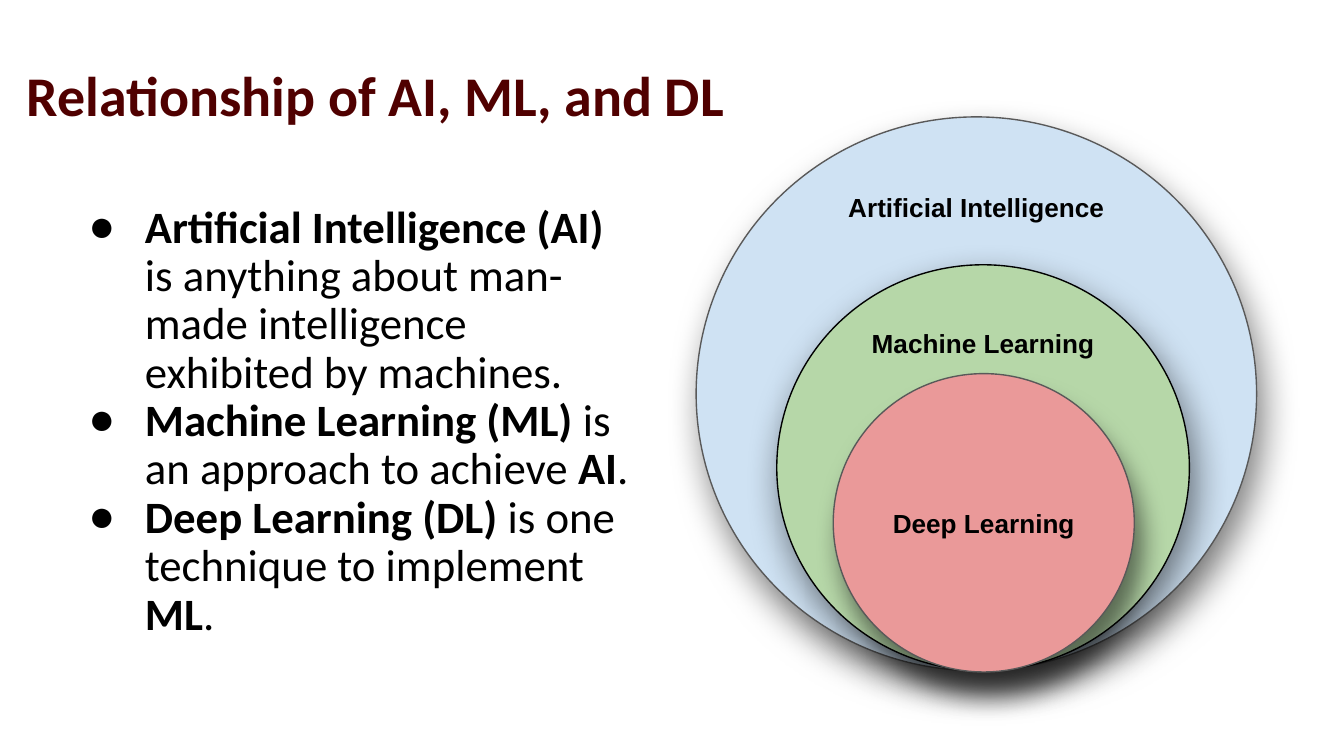
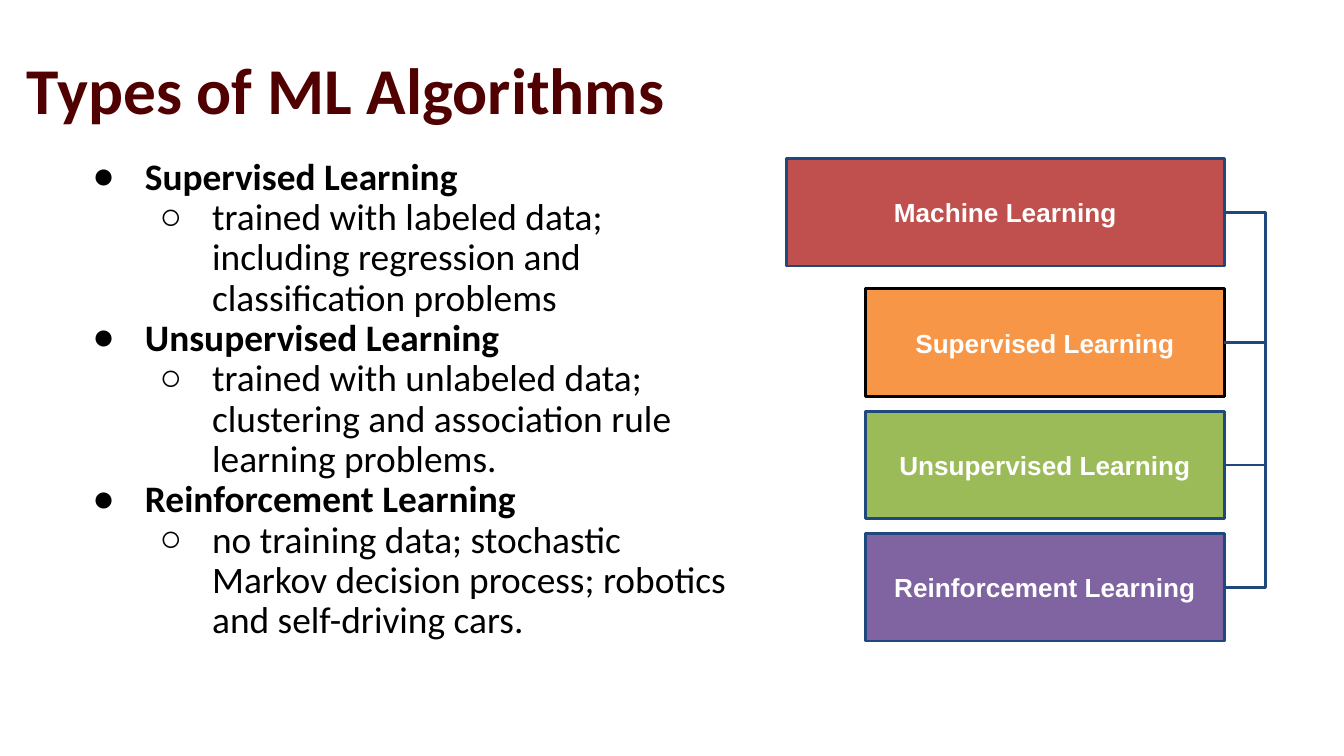
from lxml import etree
from pptx import Presentation
from pptx.dml.color import RGBColor
from pptx.enum import shapes, text
from pptx.oxml import ns
from pptx.util import Inches, Pt

BLACK, WHITE, MAROON, NAVY, GRAY = "000000", "FFFFFF", "500000", "1F497D", "595959"
BODY_FONT, LABEL_FONT = "Calibri", "Arial"
INSET = 0.1
BULLETS = "●○"


def color(hex_code):
    return RGBColor.from_string(hex_code)


def child(parent, tag, **attributes):
    element = etree.SubElement(parent, ns.qn(tag))
    for name, value in attributes.items():
        element.set(name, str(value))
    return element


def style_font(font, name, size, hex_code, bold=None):
    font.name = name
    font.size = Pt(size)
    font.color.rgb = color(hex_code)
    font.bold = bold


def set_frame(frame, anchor, top=INSET, bottom=INSET):
    frame.word_wrap = True
    frame.auto_size = text.MSO_AUTO_SIZE.NONE
    frame.vertical_anchor = anchor
    frame.margin_left = frame.margin_right = Inches(INSET)
    frame.margin_top, frame.margin_bottom = Inches(top), Inches(bottom)


def add_titled_page(deck, title, size, width):
    page = deck.slides.add_slide(deck.slide_layouts[5])
    box = page.shapes.title
    box.left, box.top = Inches(0.1), Inches(0.11)
    box.width, box.height = Inches(width), Inches(0.94)
    set_frame(box.text_frame, text.MSO_ANCHOR.BOTTOM)
    para = box.text_frame.paragraphs[0]
    para.text = title
    para.alignment = text.PP_ALIGN.LEFT
    style_font(para.font, BODY_FONT, size, MAROON, True)
    return page


def add_bullets(page, bounds, items, size, hang, bottom=INSET):
    frame = page.shapes.add_textbox(*map(Inches, bounds)).text_frame
    set_frame(frame, text.MSO_ANCHOR.MIDDLE, bottom=bottom)
    for index, (level, content) in enumerate(items):
        para = frame.paragraphs[0] if index == 0 else frame.add_paragraph()
        para.level = level
        para.line_spacing = 0.9
        properties = para._p.get_or_add_pPr()
        properties.set("marL", str(Inches(0.5 * (level + 1))))
        properties.set("indent", str(-Inches(hang)))
        child(child(properties, "a:buClr"), "a:srgbClr", val=BLACK)
        child(properties, "a:buFont", typeface=LABEL_FONT)
        child(properties, "a:buChar", char=BULLETS[level])
        style_font(para.font, BODY_FONT, size, BLACK)
        for part, words in enumerate(content.split("**")):
            if words:
                span = para.add_run()
                span.text = words
                span.font.bold = part % 2 == 1


def add_label_shape(canvas, kind, bounds, label, fill, line, weight, ink):
    shape = canvas.add_shape(kind, *map(Inches, bounds))
    shape.shadow.inherit = False
    shape.fill.solid()
    shape.fill.fore_color.rgb = color(fill)
    shape.line.color.rgb = color(line)
    shape.line.width = Pt(weight)
    set_frame(shape.text_frame, text.MSO_ANCHOR.MIDDLE)
    para = shape.text_frame.paragraphs[0]
    para.text = label
    para.alignment = text.PP_ALIGN.CENTER
    style_font(para.font, LABEL_FONT, 14, ink, True)
    return shape


def add_shadow(shape, blur, distance, angle):
    effects = shape._element.spPr.find(ns.qn("a:effectLst"))
    shadow = child(effects, "a:outerShdw", blurRad=Pt(blur), dist=Pt(distance),
                   dir=angle * 60000, algn="bl", rotWithShape=0)
    child(child(shadow, "a:srgbClr", val=BLACK), "a:alpha", val=50000)


def add_bracket(page, edge, spine, top, bottom):
    overlap = 0.01
    line = page.shapes.add_connector(
        shapes.MSO_CONNECTOR.ELBOW, Inches(edge - overlap), Inches(top),
        Inches(edge), Inches(bottom))
    line.line.color.rgb = color(NAVY)
    line.line.width = Pt(1.5)
    properties = line._element.spPr
    child(properties, "a:effectLst")
    guides = properties.find(ns.qn("a:prstGeom")).find(ns.qn("a:avLst"))
    bend = round((spine - edge + overlap) / overlap * 100000)
    child(guides, "a:gd", name="adj1", fmla=f"val {bend}")


def build_relationship(deck):
    page = add_titled_page(deck, "Relationship of AI, ML, and DL", 30, 8.5)
    fields = [
        ("Artificial Intelligence", (5.18, 0.87, 4.17, 4.12), "CFE2F3", GRAY, (19.1, 10.5, 70), -0.05),
        ("Machine Learning", (5.78, 1.97, 3.07, 3.02), "B6D7A8", BLACK, (19.1, 8.2, 73), 0.02),
        ("Deep Learning", (6.2, 2.78, 2.24, 2.22), "EA9999", GRAY, (13.5, 12, 70), None),
    ]
    canvas = page.shapes.add_group_shape().shapes
    for label, bounds, fill, line, shadow, label_top in fields:
        circle = add_label_shape(canvas, shapes.MSO_SHAPE.OVAL, bounds, label,
                                 fill, line, 0.75, BLACK)
        add_shadow(circle, *shadow)
        if label_top is not None:
            set_frame(circle.text_frame, text.MSO_ANCHOR.TOP, top=label_top)
    definitions = [
        "**Artificial Intelligence (AI) ** is anything about man-made intelligence exhibited by machines.",
        "**Machine Learning (ML)** is an approach to achieve **AI**.",
        "**Deep Learning (DL)** is one technique to implement **ML**.",
    ]
    add_bullets(page, (0.48, 1.46, 4.41, 3.72), [(0, words) for words in definitions],
                24, 0.42, bottom=0.46)


def build_types(deck):
    page = add_titled_page(deck, "Types of ML Algorithms", 35, 5.94)
    types = [
        ("Supervised Learning", "F79646", BLACK,
         "trained with labeled data; including regression and classification problems"),
        ("Unsupervised Learning", "9BBB59", NAVY,
         "trained with unlabeled data; clustering and association rule learning problems."),
        ("Reinforcement Learning", "8064A2", NAVY,
         "no training data; stochastic Markov decision process; robotics and self-driving cars."),
    ]
    items = []
    for name, _, _, detail in types:
        items += [(0, f"**{name}**"), (1, detail)]
    add_bullets(page, (0.48, 0.95, 5.08, 4.05), items, 20, 0.39)

    edge, spine, height, root_top, first_top, pitch = 9.11, 9.42, 0.8, 1.18, 2.15, 0.91
    for row, (name, fill, line, _) in enumerate(types):
        top = first_top + row * pitch
        add_label_shape(page.shapes, shapes.MSO_SHAPE.RECTANGLE, (6.44, top, 2.67, height),
                        name, fill, line, 1.5, WHITE)
        add_bracket(page, edge, spine, root_top + height / 2, top + height / 2)
    add_label_shape(page.shapes, shapes.MSO_SHAPE.RECTANGLE, (5.85, root_top, 3.26, height),
                    "Machine Learning", "C0504D", NAVY, 1.5, WHITE)


def main():
    deck = Presentation()
    deck.slide_width = Inches(10)
    deck.slide_height = deck.slide_width * 9 // 16
    build_relationship(deck)
    build_types(deck)
    deck.save("out.pptx")


if __name__ == "__main__":
    main()
